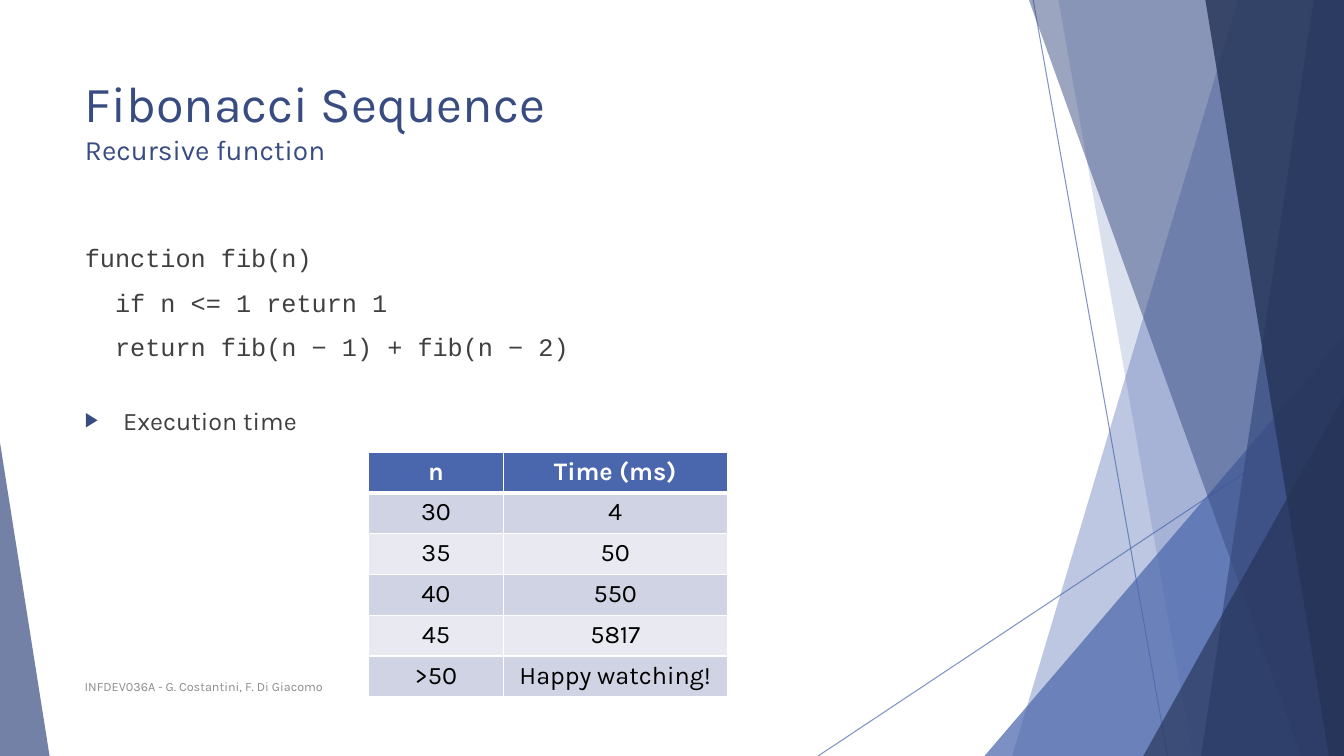
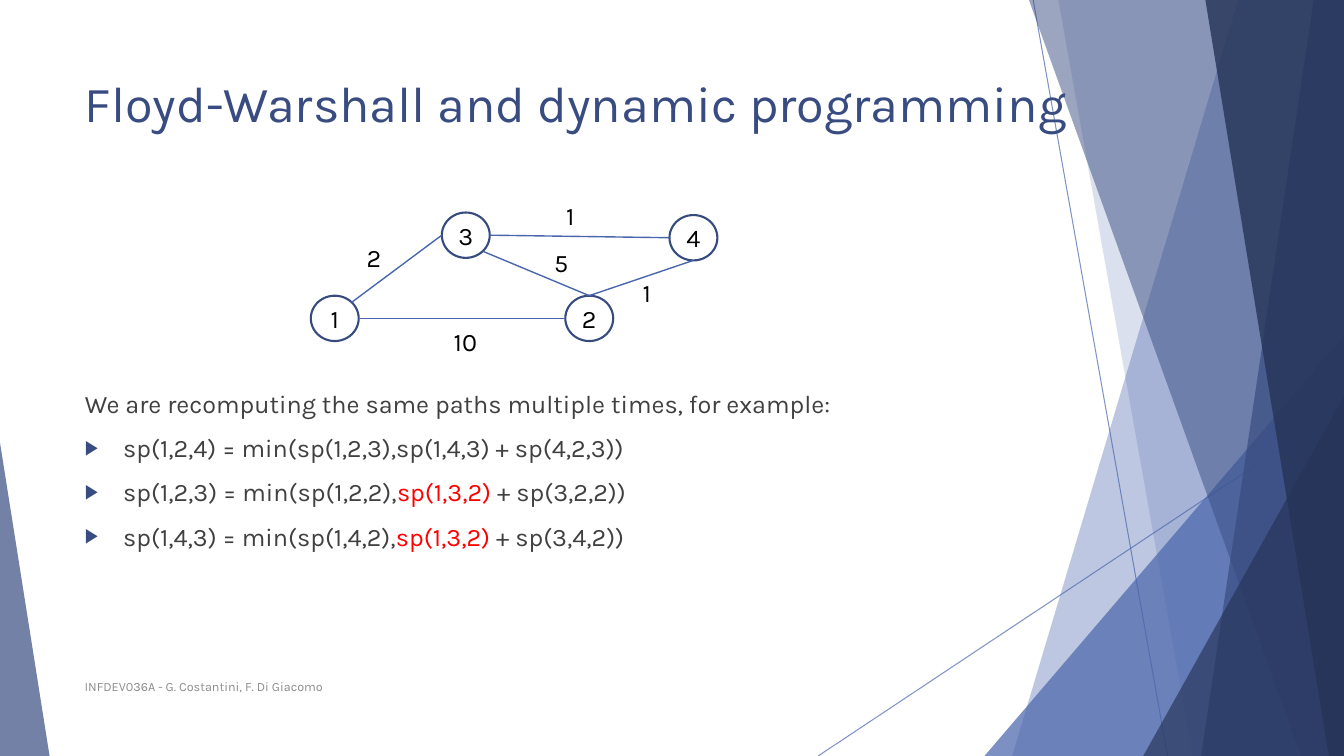
from copy import deepcopy
from dataclasses import dataclass
from math import cos, pi, sin

from lxml.etree import SubElement
from pptx import Presentation
from pptx.dml.color import RGBColor
from pptx.enum.shapes import MSO_CONNECTOR, MSO_SHAPE
from pptx.enum.text import MSO_ANCHOR, MSO_AUTO_SIZE, PP_ALIGN
from pptx.oxml.ns import qn
from pptx.util import Inches, Pt


@dataclass(frozen=True)
class Theme:
    """Colours, faces, type sizes and the grid shared by all slides."""
    blue: str = "4A66AC"
    navy: str = "384C81"
    deep: str = "253356"
    ring: str = "374B7F"
    ink: str = "404040"
    black: str = "000000"
    white: str = "FFFFFF"
    red: str = "FF0000"
    gray: str = "8C8C8C"
    odd: str = "D0D3E3"
    even: str = "E9EAF1"
    sans: str = "Karla"
    mono: str = "Courier New"
    head: int = 36
    sub: int = 20
    text: int = 18
    foot: int = 9
    cols: int = 160
    rows: int = 90
    left: float = 8.9
    wide: float = 112.8


T = Theme()
NODE = (5.7, 5.4)
LABEL = (6.4, 4.8)
FOOTER = "INFDEV036A - G. Costantini, F. Di Giacomo"


def grid(*units):
    """Turn grid units, twelve to the inch, into lengths."""
    return [Inches(unit / 12) for unit in units]


def rgb(code):
    """Turn a hex code into a colour."""
    return RGBColor.from_string(code)


def put(para, text, size=T.text, color=T.ink, face=T.sans, bold=False):
    """Add one formatted run to a paragraph."""
    run = para.add_run()
    run.text = text
    font = run.font
    font.size, font.name, font.bold = Pt(size), face, bold
    font.color.rgb = rgb(color)
    return run


def snap(para, run):
    """Break the line in the format of the run before it."""
    para.add_line_break()
    para._p[-1].append(deepcopy(run._r.rPr))


def indent(para, left, first=0):
    """Set the left margin and first-line indent in grid units."""
    props = para._p.get_or_add_pPr()
    for key, size in zip(("marL", "indent"), grid(left, first)):
        props.set(key, str(size))
    return props


def bullet(para):
    """Give a paragraph the arrow bullet."""
    props = indent(para, 4.56, -4.56)
    tint = SubElement(props, qn("a:buClr"))
    SubElement(tint, qn("a:srgbClr"), val=T.navy)
    SubElement(props, qn("a:buSzPct"), val="80000")
    SubElement(props, qn("a:buFont"), typeface="Arial")
    SubElement(props, qn("a:buChar"), char="▶")


def plain(para, left=0):
    """Give a paragraph no bullet and a left margin."""
    SubElement(indent(para, left), qn("a:buNone"))


def fade(shape, share):
    """Make the colours of a shape partly clear."""
    for tint in shape.element.xpath("./p:spPr//a:srgbClr"):
        SubElement(tint, qn("a:alpha"), val=str(share * 1000))


def paint(shape, color):
    """Fill a shape flat, with no line and no shadow."""
    shape.shadow.inherit = False
    shape.fill.solid()
    shape.fill.fore_color.rgb = rgb(color)
    shape.line.fill.background()


def line(slide, start, end, width):
    """Draw a straight blue line without a shadow."""
    link = slide.shapes.add_connector(
        MSO_CONNECTOR.STRAIGHT, *grid(*start, *end))
    link.line.color.rgb = rgb(T.blue)
    link.line.width = Pt(width)
    SubElement(link.element.spPr, qn("a:effectLst"))
    return link


def band(slide, top, base, color, share):
    """Draw a full-height band from a slanted edge to the right side."""
    pen = slide.shapes.build_freeform(*grid(top, 0))
    spots = (T.cols, 0), (T.cols, T.rows), (base, T.rows)
    pen.add_line_segments([grid(*spot) for spot in spots])
    shape = pen.convert_to_shape()
    paint(shape, color)
    fade(shape, share)


def wedge(slide, left, top, width, peak, color, share):
    """Draw a triangle that stands on the bottom edge."""
    shape = slide.shapes.add_shape(
        MSO_SHAPE.ISOSCELES_TRIANGLE, *grid(left, top, width, T.rows - top))
    shape.adjustments[0] = peak
    paint(shape, color)
    fade(shape, share)


def scene(slide, layout):
    """Draw the shared backdrop and hand it to the layout."""
    old = len(slide.shapes)
    for start, end in (((123, 0), (139, 90)), ((160, 48.4), (97.4, 90))):
        fade(line(slide, start, end, 0.75), 70)
    band(slide, 147.4, 120.5, T.blue, 36)
    band(slide, 126, 142, T.blue, 20)
    wedge(slide, 117.2, 40, 42.8, 1, T.blue, 72)
    band(slide, 122.5, 154.9, T.navy, 50)
    band(slide, 156.4, 143, T.navy, 70)
    band(slide, 143.5, 158.2, T.deep, 80)
    wedge(slide, 136.1, 47.2, 23.9, 1, T.deep, 66)
    wedge(slide, 0, 52.7, 5.9, 0, T.navy, 70)
    for mark, shape in enumerate(list(slide.shapes)[old:], 100):
        shape.element.xpath(".//p:cNvPr")[0].set("id", str(mark))
        layout.shapes.element.append(shape.element)


def place(shape, left, top, width, height, anchor=MSO_ANCHOR.TOP):
    """Move a text shape and return its wrapped frame."""
    shape.left, shape.top, shape.width, shape.height = grid(
        left, top, width, height)
    frame = shape.text_frame
    frame.word_wrap = True
    frame.auto_size = MSO_AUTO_SIZE.NONE
    frame.vertical_anchor = anchor
    return frame


def title(slide, text, sub=None, width=T.wide):
    """Fill the title, with a smaller second line if given."""
    para = place(slide.shapes.title, T.left, 8, width, 17.3).paragraphs[0]
    para.alignment = PP_ALIGN.LEFT
    run = put(para, text, T.head, T.navy)
    if sub:
        snap(para, run)
        put(para, sub, T.sub, T.navy)


def body(slide, top):
    """Move the body placeholder and return its frame."""
    return place(slide.placeholders[1], T.left, top, T.wide, 79.2 - top)


def item(frame, gap=10):
    """Return the next spaced paragraph of a frame."""
    para = frame.paragraphs[0]
    if para.runs:
        para = frame.add_paragraph()
    para.alignment = PP_ALIGN.LEFT
    para.space_before = Pt(gap)
    return para


def footer(slide):
    """Add the course line at the foot."""
    spot = T.left, 79.3, 82.7, 4.8
    box = slide.shapes.add_textbox(*grid(*spot))
    frame = place(box, *spot, MSO_ANCHOR.MIDDLE)
    put(frame.paragraphs[0], FOOTER, T.foot, T.gray)


def edge(cell, side, width):
    """Draw one white border of a cell."""
    props = cell._tc.get_or_add_tcPr()
    rule = SubElement(props, qn("a:ln" + side), w=str(Pt(width)))
    tint = SubElement(rule, qn("a:solidFill"))
    SubElement(tint, qn("a:srgbClr"), val=T.white)


def table(slide, left, top, widths, data, tall=4.86):
    """Add a banded table with a bold heading row."""
    frame = slide.shapes.add_table(
        len(data), len(widths),
        *grid(left, top, sum(widths), tall * len(data)))
    chart = frame.table
    for col, width in zip(chart.columns, grid(*widths)):
        col.width = width
    for r, row in enumerate(data):
        for c, text in enumerate(row):
            cell = chart.cell(r, c)
            for side in "LRTB":
                thick = (r, side) in ((0, "B"), (1, "T"))
                edge(cell, side, 3 if thick else 1)
            shade = T.blue if r == 0 else T.odd if r % 2 else T.even
            cell.fill.solid()
            cell.fill.fore_color.rgb = rgb(shade)
            para = cell.text_frame.paragraphs[0]
            para.alignment = PP_ALIGN.CENTER
            put(para, text, color=T.black if r else T.white, bold=r == 0)


def node(slide, name, spot):
    """Draw a numbered graph node."""
    shape = slide.shapes.add_shape(MSO_SHAPE.OVAL, *grid(*spot, *NODE))
    paint(shape, T.white)
    shape.line.color.rgb = rgb(T.ring)
    shape.line.width = Pt(1.5)
    frame = shape.text_frame
    frame.margin_left = frame.margin_right = 0
    frame.margin_top = frame.margin_bottom = 0
    frame.vertical_anchor = MSO_ANCHOR.MIDDLE
    para = frame.paragraphs[0]
    para.alignment = PP_ALIGN.CENTER
    put(para, name, color=T.black)


def rim(spot, turn):
    """Find a rim point, in eighths of a turn clockwise from the right."""
    angle = turn * pi / 4
    return (spot[0] + NODE[0] / 2 * (1 + cos(angle)),
            spot[1] + NODE[1] / 2 * (1 + sin(angle)))


def label(slide, text, spot):
    """Write the weight of a graph edge."""
    box = slide.shapes.add_textbox(*grid(*spot, *LABEL))
    para = place(box, *spot, *LABEL).paragraphs[0]
    para.alignment = PP_ALIGN.CENTER
    put(para, text, color=T.black)


def graph(slide):
    """Draw the weighted graph."""
    spots = {"1": (37, 35.2), "2": (67.3, 35.2),
             "3": (52.6, 25.3), "4": (79.7, 25.6)}
    links = (("1", 7, "3", 4, "2", (41.3, 28.2)),
             ("3", 0, "4", 4, "1", (64.7, 23.3)),
             ("4", 2, "2", 6, "1", (73.8, 32.4)),
             ("3", 1, "2", 6, "5", (63.6, 28.8)),
             ("1", 0, "2", 4, "10", (52.2, 38.3)))
    for name, spot in spots.items():
        node(slide, name, spot)
    for tail, out, head, into, cost, spot in links:
        line(slide, rim(spots[tail], out), rim(spots[head], into), 1)
        label(slide, cost, spot)


def fib(slide):
    """Fill the Fibonacci slide."""
    title(slide, "Fibonacci Sequence", "Recursive function")
    frame = body(slide, 28.3)
    for text, left in (("function fib(n)", 0), ("if n <= 1 return 1", 3.6),
                       ("return fib(n − 1) + fib(n − 2)", 3.6)):
        para = item(frame)
        plain(para, left)
        put(para, text, face=T.mono)
    para = item(frame, 31)
    bullet(para)
    put(para, "Execution time")
    footer(slide)
    table(slide, 43.9, 53.8, (16, 26.7), (
        ("n", "Time (ms)"), ("30", "4"), ("35", "50"), ("40", "550"),
        ("45", "5817"), (">50", "Happy watching!")))


def floyd(slide):
    """Fill the Floyd-Warshall slide."""
    title(slide, "Floyd-Warshall and dynamic programming", width=119.9)
    frame = body(slide, 45.6)
    para = item(frame)
    plain(para)
    put(para, "We are recomputing the same paths multiple times, for example:")
    for start, hot, end in (
            ("sp(1,2,4) = min(sp(1,2,3),sp(1,4,3) + sp(4,2,3))", "", ""),
            ("sp(1,2,3) = min(sp(1,2,2),", "sp(1,3,2)", " + sp(3,2,2))"),
            ("sp(1,4,3) = min(sp(1,4,2),", "sp(1,3,2)", " + sp(3,4,2))")):
        para = item(frame)
        bullet(para)
        put(para, start)
        if hot:
            put(para, hot, color=T.red)
            put(para, end)
    footer(slide)
    graph(slide)


def main():
    """Build and save the deck."""
    deck = Presentation()
    deck.slide_width, deck.slide_height = grid(T.cols, T.rows)
    layout = deck.slide_layouts[1]
    first, second = [deck.slides.add_slide(layout) for _ in range(2)]
    scene(first, layout)
    fib(first)
    floyd(second)
    deck.save("out.pptx")


if __name__ == "__main__":
    main()
